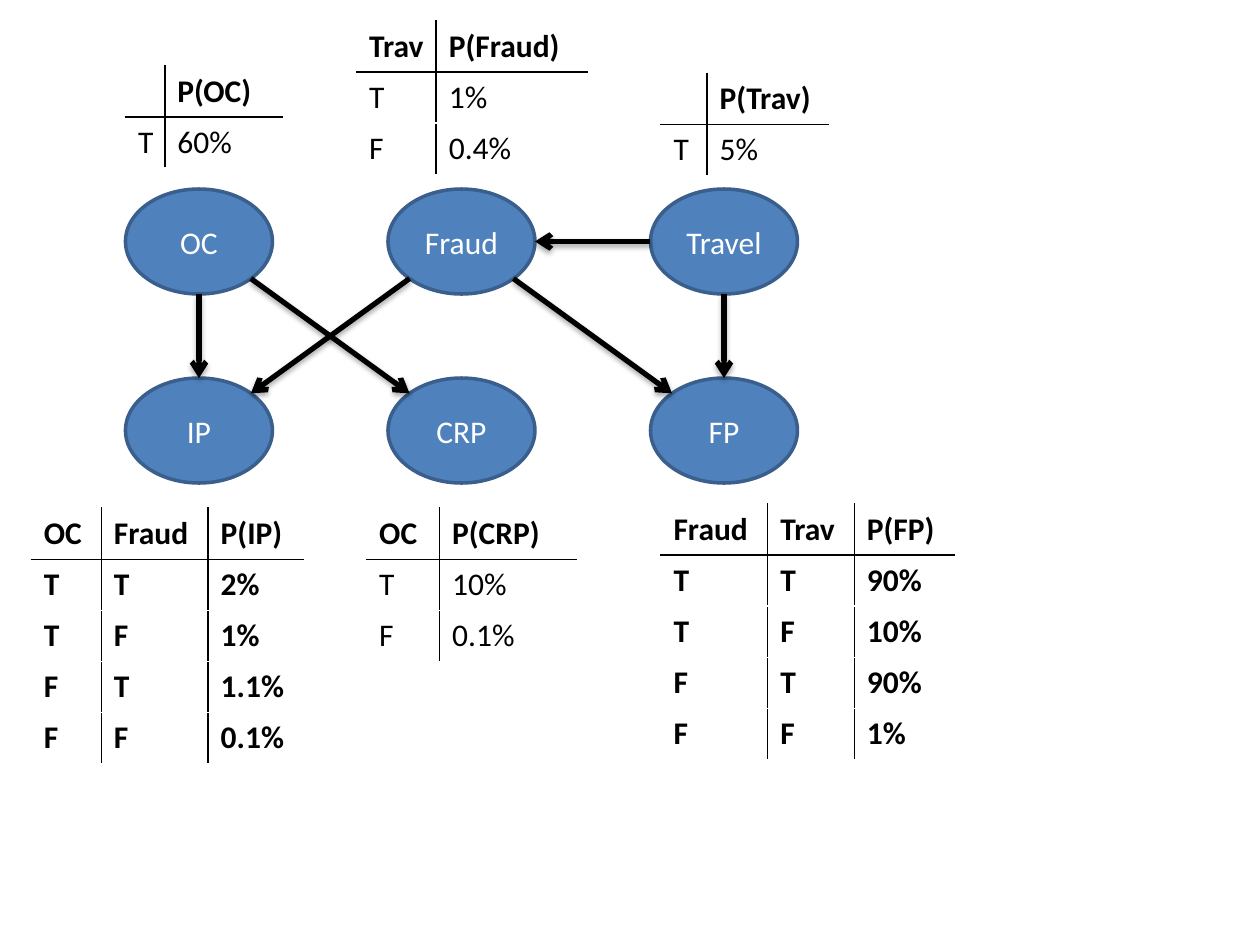
"""Build a Bayesian network slide with its probability tables."""
import math

import pptx
import pptx.dml.color
import pptx.enum.shapes
import pptx.enum.text
import pptx.oxml
import pptx.oxml.ns
import pptx.util

HUES = {"white": "FFFFFF", "black": "000000", "blue": "4F81BD", "edge": "3A5F8C"}
NS = pptx.oxml.ns.nsdecls("a")
COLS, ROWS = 120, 90
WIDE, HIGH, LINE = 14, 10, 4.87


class Board:
    def __init__(self, deck):
        self.slide = deck.slides.add_slide(deck.slide_layouts[6])
        self.unit = deck.slide_width / COLS
        self.face, self.size = "Calibri", pptx.util.Pt(18)

    def span(self, *cells):
        return [pptx.util.Emu(round(cell * self.unit)) for cell in cells]

    def hue(self, name):
        return pptx.dml.color.RGBColor.from_string(HUES[name])

    def paint(self, fill, name):
        fill.solid()
        fill.fore_color.rgb = self.hue(name)

    def text(self, frame, words, name, bold=False):
        para = frame.paragraphs[0]
        para.text = words
        font = para.font
        font.name, font.size, font.bold = self.face, self.size, bold
        font.color.rgb = self.hue(name)
        return para

    def node(self, label, col, row):
        oval = self.slide.shapes.add_shape(
            pptx.enum.shapes.MSO_SHAPE.OVAL, *self.span(col, row, WIDE, HIGH))
        oval.shadow.inherit = False
        self.paint(oval.fill, "blue")
        oval.line.color.rgb = self.hue("edge")
        oval.line.width = pptx.util.Pt(2)
        oval.text_frame.vertical_anchor = pptx.enum.text.MSO_ANCHOR.MIDDLE
        para = self.text(oval.text_frame, label, "white")
        para.alignment = pptx.enum.text.PP_ALIGN.CENTER
        return oval

    def site(self, oval, index):
        turn = math.radians(90 + 45 * index)
        return (round(oval.left + oval.width * (1 + math.cos(turn)) / 2),
                round(oval.top + oval.height * (1 - math.sin(turn)) / 2))

    def arrow(self, start, out, end, into):
        link = self.slide.shapes.add_connector(
            pptx.enum.shapes.MSO_CONNECTOR.STRAIGHT,
            *self.site(start, out), *self.site(end, into))
        link.line.color.rgb = self.hue("black")
        link.line.width = pptx.util.Pt(3)
        props = link._element.spPr
        props.find(pptx.oxml.ns.qn("a:ln")).append(
            pptx.oxml.parse_xml(f'<a:tailEnd {NS} type="arrow"/>'))
        props.append(pptx.oxml.parse_xml(
            f'<a:effectLst {NS}><a:outerShdw blurRad="40000" dist="23000" '
            f'dir="5400000" rotWithShape="0"><a:srgbClr val="{HUES["black"]}">'
            '<a:alpha val="35000"/></a:srgbClr></a:outerShdw></a:effectLst>'))
        joint = link._element.nvCxnSpPr.cNvCxnSpPr
        for tag, oval, index in (("stCxn", start, out), ("endCxn", end, into)):
            joint.append(pptx.oxml.parse_xml(
                f'<a:{tag} {NS} id="{oval.shape_id}" idx="{index}"/>'))

    def border(self, cell, sides):
        for side, dark in sides.items():
            tint = HUES["black" if dark else "white"]
            cell._tc.get_or_add_tcPr().append(pptx.oxml.parse_xml(
                f'<a:ln{side} {NS} w="12700"><a:solidFill>'
                f'<a:srgbClr val="{tint}"/></a:solidFill></a:ln{side}>'))

    def table(self, col, row, widths, data, bold=False):
        grid = self.slide.shapes.add_table(
            len(data), len(widths),
            *self.span(col, row, sum(widths), LINE * len(data))).table
        grid.first_row = grid.horz_banding = False
        for column, width in zip(grid.columns, self.span(*widths)):
            column.width = width
        last = len(widths) - 1
        for r, record in enumerate(data):
            grid.rows[r].height = self.span(LINE)[0]
            for c, words in enumerate(record):
                cell = grid.cell(r, c)
                if words:
                    self.text(cell.text_frame, words, "black", bold or r == 0)
                self.border(cell, {"L": c > 0, "R": c < last,
                                   "T": r == 1, "B": r == 0})
                self.paint(cell.fill, "white")


def main():
    deck = pptx.Presentation()
    deck.slide_width = pptx.util.Inches(10)
    deck.slide_height = deck.slide_width * ROWS // COLS
    board = Board(deck)

    names = (("OC", "Fraud", "Travel"), ("IP", "CRP", "FP"))
    nodes = {label: board.node(label, 11.95 + 25 * c, 18 + 18 * r)
             for r, line in enumerate(names) for c, label in enumerate(line)}

    for start, out, end, into in (
            ("OC", 4, "IP", 0), ("OC", 5, "CRP", 1), ("Fraud", 3, "IP", 7),
            ("Travel", 2, "Fraud", 6), ("Fraud", 5, "FP", 1),
            ("Travel", 4, "FP", 0)):
        board.arrow(nodes[start], out, nodes[end], into)

    board.table(33.95, 2, (7.6, 14.35),
                (("Trav", "P(Fraud)"), ("T", "1%"), ("F", "0.4%")))
    board.table(11.95, 6.27, (3.75, 11.2), (("", "P(OC)"), ("T", "60%")))
    board.table(62.95, 7, (4.4, 11.5), (("", "P(Trav)"), ("T", "5%")))
    board.table(34.92, 48.4, (6.95, 13),
                (("OC", "P(CRP)"), ("T", "10%"), ("F", "0.1%")))

    pairs = [(a, b) for a in "TF" for b in "TF"]
    for col, row, widths, head, odds in (
            (2.98, 48.4, (6.67, 10.18, 9.05), ("OC", "Fraud", "P(IP)"),
             ("2%", "1%", "1.1%", "0.1%")),
            (62.95, 48, (10.17, 8.25, 9.53), ("Fraud", "Trav", "P(FP)"),
             ("90%", "10%", "90%", "1%"))):
        data = [head] + [(*pair, odd) for pair, odd in zip(pairs, odds)]
        board.table(col, row, widths, data, bold=True)

    deck.save("out.pptx")


if __name__ == "__main__":
    main()
